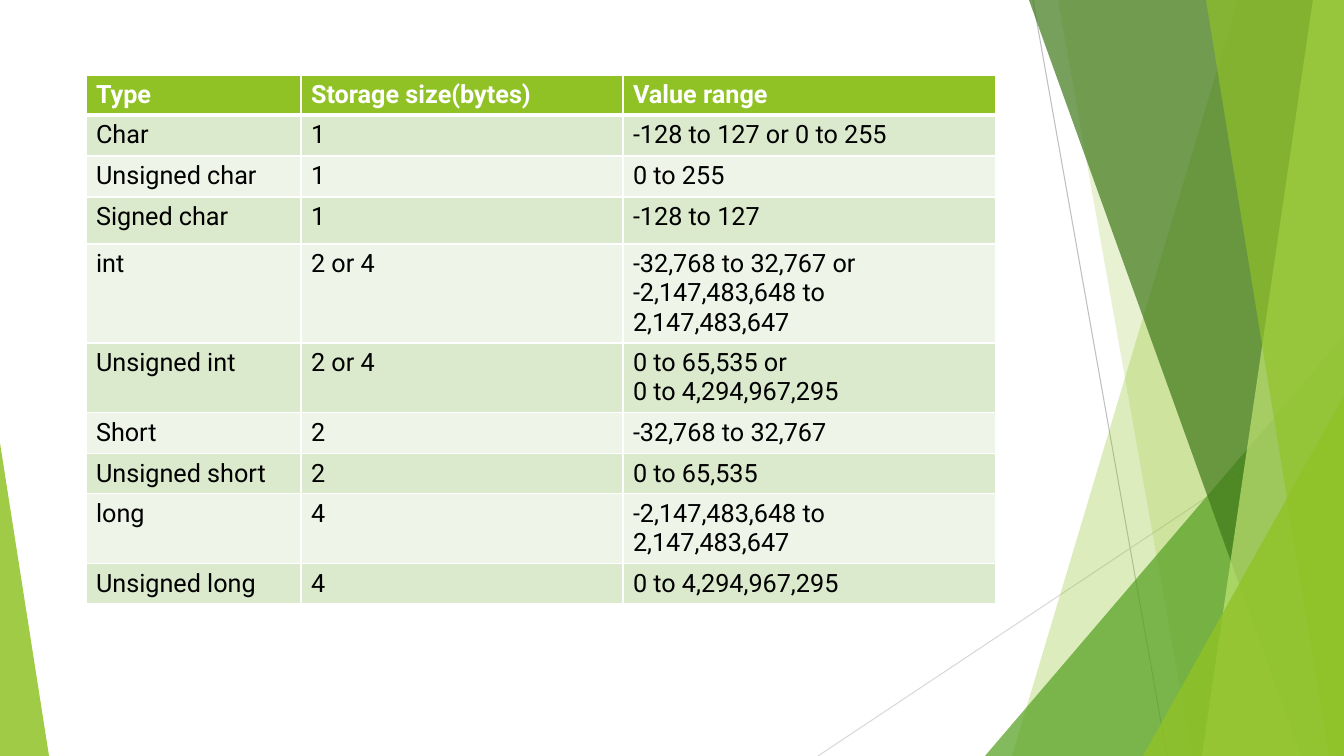
from lxml import etree
from pptx import Presentation
from pptx.dml.color import RGBColor
from pptx.enum.shapes import MSO_CONNECTOR, MSO_SHAPE
from pptx.oxml.ns import qn
from pptx.util import Pt

STRAIGHT = MSO_CONNECTOR.STRAIGHT
TRIANGLE = MSO_SHAPE.ISOSCELES_TRIANGLE

WIDTH, HEIGHT = 1344, 756
EMU_PER_PIXEL = 914400 / 100.8
FONT, FONT_SIZE = "Roboto", 18
WHITE, BLACK, LIME = "FFFFFF", "000000", "90C226"
BAND_FILLS = ("EEF4E8", "DBE9CD")

HEADER = ("Type", "Storage size(bytes)", "Value range")
TYPES = [
    ("Char", "1", "-128 to 127 or 0 to 255"),
    ("Unsigned char", "1", "0 to 255"),
    ("Signed char", "1", "-128 to 127"),
    ("int", "2 or 4", "-32,768 to 32,767 or\n-2,147,483,648 to 2,147,483,647"),
    ("Unsigned int", "2 or 4", "0 to 65,535 or\n0 to 4,294,967,295"),
    ("Short", "2", "-32,768 to 32,767"),
    ("Unsigned short", "2", "0 to 65,535"),
    ("long", "4", "-2,147,483,648 to 2,147,483,647"),
    ("Unsigned long", "4", "0 to 4,294,967,295"),
]
TABLE_LEFT, TABLE_TOP = 86, 75
COLUMN_WIDTHS = (215, 322, 373)
ROW_HEIGHTS = (40, 41, 41, 47, 99, 70, 41, 40, 70, 40)

RAYS = [
    ((1033, 0), (1167, HEIGHT), "BFBFBF"),
    ((WIDTH, 406), (818, HEIGHT), "D9D9D9"),
]
FACETS = [
    ("band", 1238, 1012, LIME, 30),
    ("band", 1058, 1192, LIME, 20),
    ("triangle", (985, 336, 359, 420), 1, "54A021", 72),
    ("band", 1029, 1301, "3F7819", 70),
    ("band", 1313, 1202, "C0E474", 70),
    ("band", 1206, 1329, LIME, 65),
    ("triangle", (1143, 396, 201, 360), 1, LIME, 80),
    ("triangle", (0, 443, 49, 313), 0, LIME, 85),
]


def px(value):
    return round(value * EMU_PER_PIXEL)


def color(value):
    return RGBColor.from_string(value)


def add_ray(page, start, end, line_color):
    ray = page.shapes.add_connector(STRAIGHT, *map(px, start + end))
    ray.line.color.rgb = color(line_color)
    ray.line.width = Pt(0.75)
    etree.SubElement(ray._element.spPr, qn("a:effectLst"))


def add_band(page, top_x, bottom_x):
    corners = [(WIDTH, 0), (WIDTH, HEIGHT), (bottom_x, HEIGHT)]
    builder = page.shapes.build_freeform(px(top_x), 0)
    builder.add_line_segments([(px(x), px(y)) for x, y in corners], close=True)
    return builder.convert_to_shape()


def add_triangle(page, bounds, apex):
    triangle = page.shapes.add_shape(TRIANGLE, *map(px, bounds))
    triangle.adjustments[0] = apex
    return triangle


def paint_facet(shape, fill_color, opacity):
    shape.shadow.inherit = False
    shape.line.fill.background()
    shape.fill.solid()
    shape.fill.fore_color.rgb = color(fill_color)
    tint = shape._element.spPr.find(qn("a:solidFill"))[0]
    etree.SubElement(tint, qn("a:alpha"), val=str(opacity * 1000))


def set_borders(cell, widths):
    properties = cell._tc.get_or_add_tcPr()
    for side, width in widths.items():
        border = etree.SubElement(properties, qn(f"a:ln{side}"), w=str(Pt(width)))
        fill = etree.SubElement(border, qn("a:solidFill"))
        etree.SubElement(fill, qn("a:srgbClr"), val=WHITE)


def format_cell(cell, text, row):
    is_header = row == 0
    set_borders(cell, {"L": 1, "R": 1, "T": 3 if row == 1 else 1, "B": 3 if is_header else 1})
    cell.fill.solid()
    cell.fill.fore_color.rgb = color(LIME if is_header else BAND_FILLS[row % 2])
    cell.text_frame.text = text
    for para in cell.text_frame.paragraphs:
        for span in para.runs:
            span.font.name = FONT
            span.font.size = Pt(FONT_SIZE)
            span.font.bold = is_header
            span.font.color.rgb = color(WHITE if is_header else BLACK)


def add_type_table(page):
    rows = [HEADER] + TYPES
    bounds = (TABLE_LEFT, TABLE_TOP, sum(COLUMN_WIDTHS), sum(ROW_HEIGHTS))
    table = page.shapes.add_table(len(rows), len(HEADER), *map(px, bounds)).table
    for column, width in zip(table.columns, COLUMN_WIDTHS):
        column.width = px(width)
    for row, height in zip(table.rows, ROW_HEIGHTS):
        row.height = px(height)
    for r, values in enumerate(rows):
        for c, text in enumerate(values):
            format_cell(table.cell(r, c), text, r)


deck = Presentation()
deck.slide_width, deck.slide_height = px(WIDTH), px(HEIGHT)
page = deck.slides.add_slide(deck.slide_layouts[6])

for ray in RAYS:
    add_ray(page, *ray)
builders = {"band": add_band, "triangle": add_triangle}
for kind, first, second, fill_color, opacity in FACETS:
    paint_facet(builders[kind](page, first, second), fill_color, opacity)
add_type_table(page)

deck.save("out.pptx")
